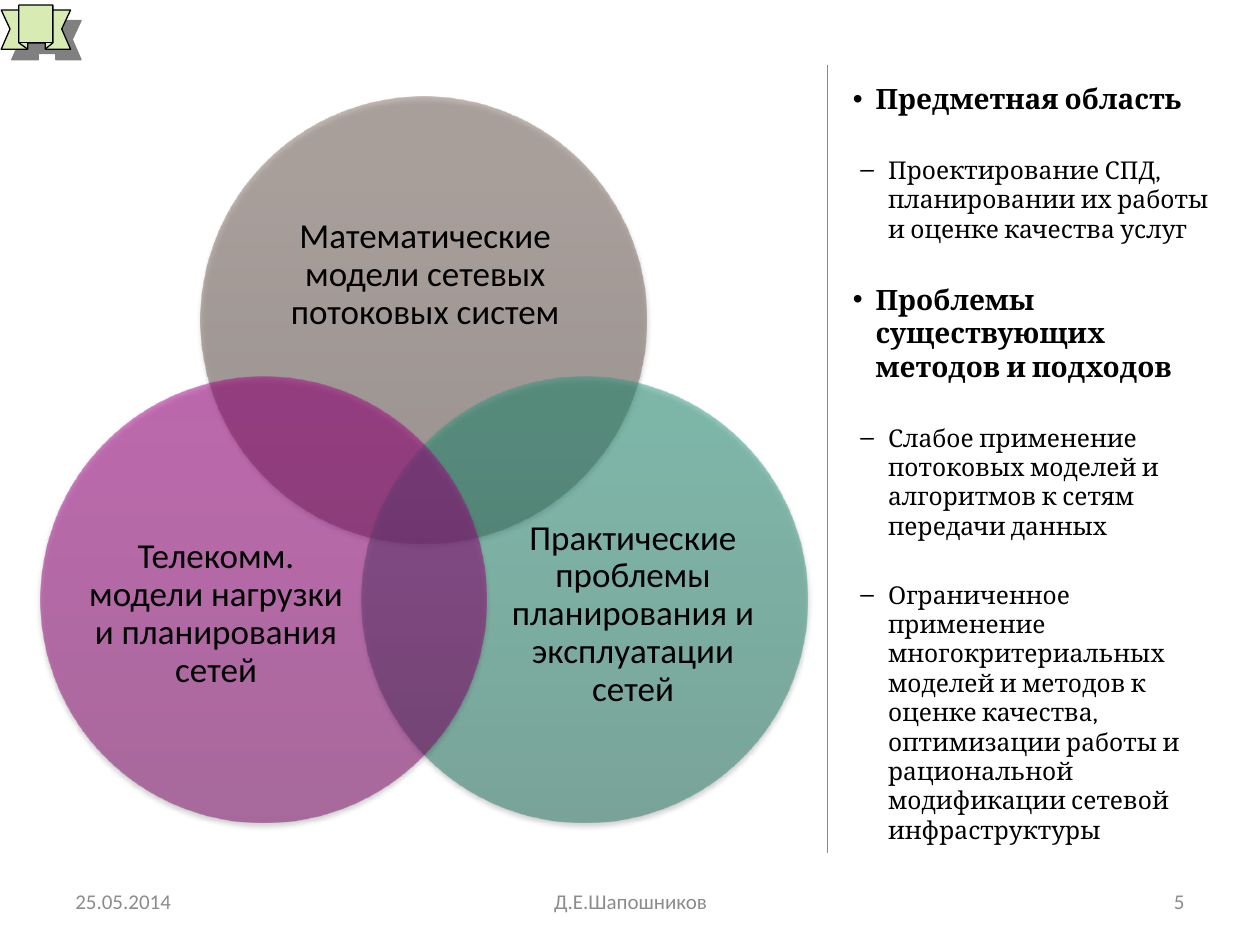
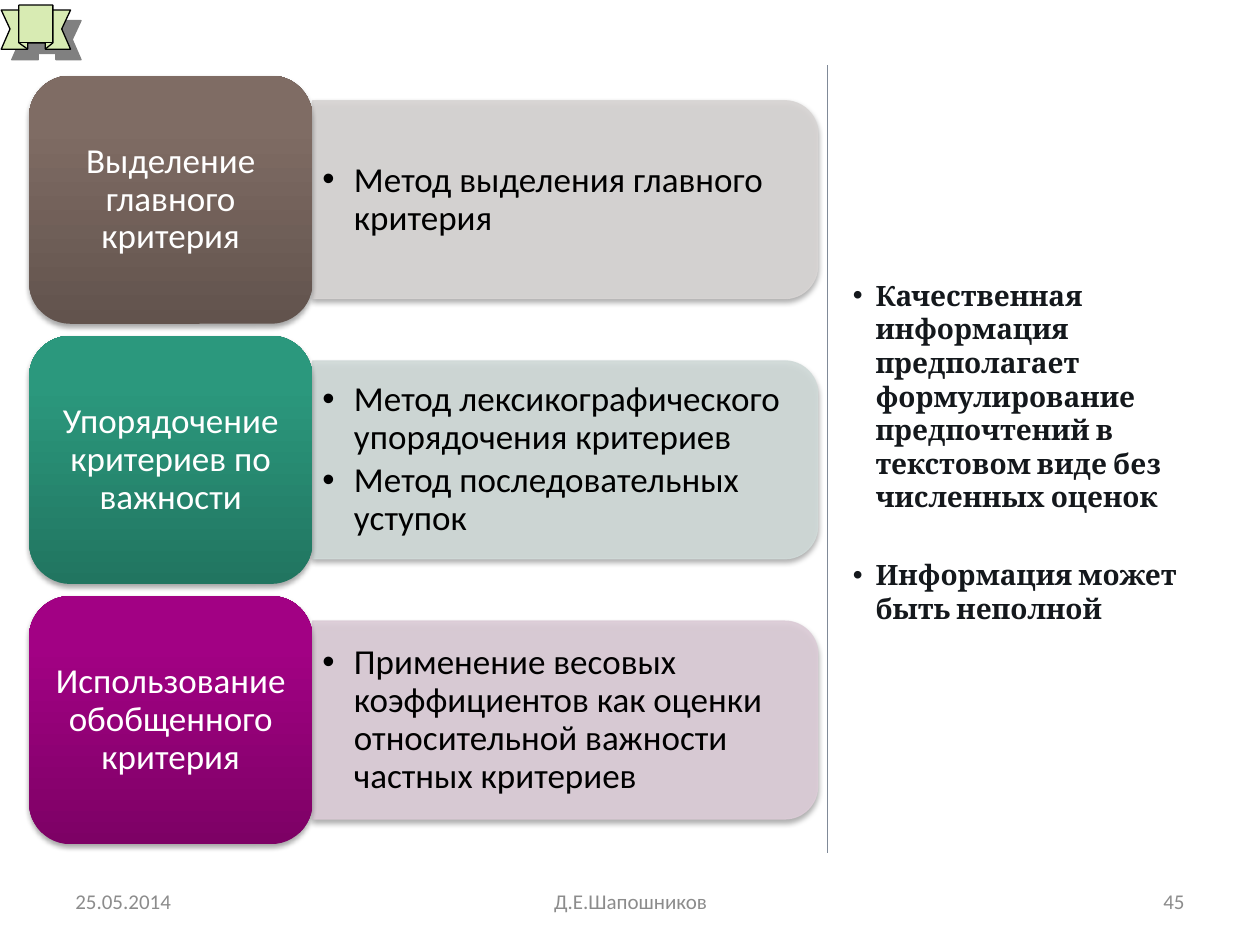
import pptx
import pptx.util
import pptx.dml.color
import pptx.enum.shapes
import pptx.enum.text
import pptx.oxml.ns
from dataclasses import dataclass
from lxml import etree

Inches = pptx.util.Inches
Pt = pptx.util.Pt
qn = pptx.oxml.ns.qn
KIND = pptx.enum.shapes.MSO_SHAPE
ALIGN = pptx.enum.text.PP_ALIGN
ANCHOR = pptx.enum.text.MSO_ANCHOR


@dataclass(frozen=True)
class Theme:
    sans: str = "Calibri"
    serif: str = "Cambria"
    black: str = "000000"
    white: str = "FFFFFF"
    ink: str = "14181C"
    gray: str = "8C8C8C"
    rule: str = "808A98"
    lime: str = "D8EBB3"
    # Gradient stops from bottom to top
    brown: tuple = ("62534D", "7F6C64", "806D63")
    green: tuple = ("217560", "2B987D", "299A7E")
    plum: tuple = ("7D0165", "A20184", "A40085")
    pale: tuple = ("D8D5D4", "D0DAD8", "DCCCD7")
    large: int = 20
    head: int = 16
    sub: int = 14
    small: int = 12
    thin: float = 0.75
    soft: tuple = ("000000", 35, 3.1, 1.8, 90)
    hard: tuple = ("808080", 100, 0, 8.5, 45)


T = Theme()


# Drawing helpers
def rgb(code):
    return pptx.dml.color.RGBColor.from_string(code)


def node(root, tag, **attrs):
    return etree.SubElement(root, qn(tag), {k: str(v) for k, v in attrs.items()})


def stroke(shape, color):
    shape.line.color.rgb = rgb(color)
    shape.line.width = Pt(T.thin)


def flat(shape, color):
    shape.fill.solid()
    shape.fill.fore_color.rgb = rgb(color)
    stroke(shape, color)


def blend(shape, stops):
    props = shape.element.spPr
    grad = node(props, "a:gradFill", rotWithShape=1)
    props.insert(2, grad)
    marks = node(grad, "a:gsLst")
    for place, color in zip((0, 80, 100), stops):
        stop = node(marks, "a:gs", pos=place * 1000)
        node(stop, "a:srgbClr", val=color)
    node(grad, "a:lin", ang=270 * 60000, scaled=0)
    shape.line.fill.background()


def fade(shape, share):
    for color in shape.element.spPr.iter(qn("a:srgbClr")):
        node(color, "a:alpha", val=share * 1000)


def shade(shape, look):
    color, share, blur, dist, angle = look
    shape.shadow.inherit = False
    effects = shape.element.spPr.find(qn("a:effectLst"))
    drop = node(effects, "a:outerShdw", blurRad=int(Pt(blur)), dist=int(Pt(dist)),
                dir=angle * 60000, algn="ctr", rotWithShape=0)
    tone = node(drop, "a:srgbClr", val=color)
    node(tone, "a:alpha", val=share * 1000)


def place(slide, kind, box):
    return slide.shapes.add_shape(kind, *map(Inches, box))


# Text helpers
def setup(shape, pad=(0.1, 0.05), anchor=ANCHOR.MIDDLE):
    frame = shape.text_frame
    frame.word_wrap = True
    frame.vertical_anchor = anchor
    frame.margin_left = frame.margin_right = Inches(pad[0])
    frame.margin_top = frame.margin_bottom = Inches(pad[1])
    return frame


def note(slide, box, **style):
    return setup(slide.shapes.add_textbox(*map(Inches, box)), **style)


def bullet(para, sign, left, hang):
    props = para._p.get_or_add_pPr()
    props.set("marL", str(int(Inches(left))))
    props.set("indent", str(-int(Inches(hang))))
    node(props, "a:buFont", typeface="Arial")
    node(props, "a:buChar", char=sign)


def write(para, text, size, color, face=T.sans, bold=False, align=ALIGN.LEFT, tight=None):
    para.alignment = align
    if tight:
        para.line_spacing = tight
    run = para.add_run()
    run.text = text
    font = run.font
    font.name, font.size, font.bold = face, Pt(size), bold
    font.color.rgb = rgb(color)


def items(frame, texts, gap):
    for i, text in enumerate(texts):
        para = frame.add_paragraph() if i else frame.paragraphs[0]
        if i:
            para.space_before = Pt(gap)
        yield para, text


# Shared parts
def ribbon(slide, x, y):
    # Points are hundredths of an inch
    def trace(lines, close):
        unit = Inches(0.01)
        build = slide.shapes.build_freeform(*lines[0][0], scale=unit)
        for i, line in enumerate(lines):
            if i:
                build.move_to(*line[0])
            build.add_line_segments(line[1:], close=close)
        shape = build.convert_to_shape(Inches(x), Inches(y))
        stroke(shape, T.black)
        return shape

    edge = [(0, 35), (21, 35), (21, 30), (35, 30), (35, 35), (55, 35), (48, 19),
            (55, 4), (41, 4), (41, 0), (14, 0), (14, 4), (0, 4), (7, 19)]
    band = trace([edge], True)
    band.fill.solid()
    band.fill.fore_color.rgb = rgb(T.lime)
    shade(band, T.hard)
    folds = trace([[(14, 4), (14, 30), (21, 35)], [(14, 30), (21, 30)],
                   [(41, 4), (41, 30), (35, 35)], [(41, 30), (35, 30)]], False)
    folds.fill.background()
    folds.shadow.inherit = False


def footer(slide, y, number):
    cells = ((0.5, 2.33, "25.05.2014", ALIGN.LEFT),
             (3.42, 3.17, "Д.Е.Шапошников", ALIGN.CENTER),
             (7.17, 2.33, number, ALIGN.RIGHT))
    for x, w, text, align in cells:
        frame = note(slide, (x, y, w, 0.4))
        write(frame.paragraphs[0], text, T.small, T.gray, align=align)


def base(deck, number):
    slide = deck.slides.add_slide(deck.slide_layouts[6])
    ribbon(slide, 0.01, 0.04)
    rule = slide.shapes.add_connector(pptx.enum.shapes.MSO_CONNECTOR.STRAIGHT,
                                      *map(Inches, (6.57, 0.52, 6.57, 6.77)))
    stroke(rule, T.rule)
    node(rule.element.spPr, "a:effectLst")
    footer(slide, 6.95, number)
    return slide


def aside(slide, box, points, gap, color):
    frame = note(slide, box, anchor=ANCHOR.TOP)
    for para, (level, text) in items(frame, points, gap):
        if level:
            bullet(para, "–", 0.3, 0.22)
        else:
            bullet(para, "•", 0.2, 0.18)
        write(para, text, T.sub if level else T.head, color, T.serif, not level)


# Three overlapping circles
def venn(slide, box):
    x, y, w, h = box
    side = 3.54
    low = (0.91, 2.13, 1.95)
    rings = (
        (0.5, 0, T.brown, (0.48, 0.62, 2.6, 1.59),
         "Математические модели сетевых потоковых систем"),
        (1, 1, T.green, (1.09, *low),
         "Практические проблемы планирования и эксплуатации сетей"),
        (0, 1, T.plum, (0.33, *low),
         "Телекомм. модели нагрузки и планирования сетей"),
    )
    for across, down, stops, (dx, dy, tw, th), text in rings:
        left, top = x + across * (w - side), y + down * (h - side)
        ring = place(slide, KIND.OVAL, (left, top, side, side))
        blend(ring, stops)
        fade(ring, 50)
        shade(ring, T.soft)
        frame = note(slide, (left + dx, top + dy, tw, th), pad=(0, 0))
        write(frame.paragraphs[0], text, T.large, T.black,
              align=ALIGN.CENTER, tight=0.9)


# Rows of a heading tile and its panel of methods
def rows(slide, box, data):
    x, y, w, h = box
    tile, tall, thick = 2.25, 1.97, 1.57
    step = (h - tall) / (len(data) - 1)
    wide = w - tile
    for i, (title, stops, pale, texts) in enumerate(data):
        top = y + i * step
        mid = top + tall / 2
        left = x + tile
        # The panel is turned, so its width and height swap
        panel = place(slide, KIND.ROUND_2_SAME_RECTANGLE,
                      (left + (wide - thick) / 2, mid - wide / 2, thick, wide))
        panel.rotation = 90
        flat(panel, pale)
        fade(panel, 90)
        shade(panel, T.soft)
        frame = note(slide, (left, mid - 0.71, wide - 0.08, 1.42), pad=(0.08, 0.04))
        for para, text in items(frame, texts, 3):
            bullet(para, "•", 0.25, 0.25)
            write(para, text, T.large, T.black, tight=0.9)
        head = place(slide, KIND.ROUNDED_RECTANGLE, (x, top, tile, tall))
        blend(head, stops)
        shade(head, T.soft)
        write(setup(head, pad=(0.08, 0.04)).paragraphs[0], title, T.large, T.white,
              align=ALIGN.CENTER, tight=0.9)


def main():
    deck = pptx.Presentation()
    deck.slide_width, deck.slide_height = Inches(10), Inches(7.5)

    # Subject area
    slide = base(deck, "5")
    venn(slide, (0.32, 0.77, 6.09, 5.76))
    aside(slide, (6.65, 0.6, 3.11, 6.1), (
        (0, "Предметная область"),
        (1, "Проектирование СПД, планировании их работы и оценке качества услуг"),
        (0, "Проблемы существующих методов и подходов"),
        (1, "Слабое применение потоковых моделей и алгоритмов к сетям передачи данных"),
        (1, "Ограниченное применение многокритериальных моделей и методов к оценке "
            "качества, оптимизации работы и рациональной модификации сетевой "
            "инфраструктуры"),
    ), 22.5, T.black)

    # Methods for qualitative data
    slide = base(deck, "45")
    rows(slide, (0.23, 0.6, 6.26, 6.1), (
        ("Выделение главного критерия", T.brown, T.pale[0],
         ["Метод выделения главного критерия"]),
        ("Упорядочение критериев по важности", T.green, T.pale[1],
         ["Метод лексикографического упорядочения критериев",
          "Метод последовательных уступок"]),
        ("Использование обобщенного критерия", T.plum, T.pale[2],
         ["Применение весовых коэффициентов как оценки относительной важности "
          "частных критериев"]),
    ))
    aside(slide, (6.65, 2.16, 3.11, 4.54), (
        (0, "Качественная информация предполагает формулирование предпочтений "
            "в текстовом виде без численных оценок"),
        (0, "Информация может быть неполной"),
    ), 25.5, T.ink)

    deck.save("out.pptx")


if __name__ == "__main__":
    main()
